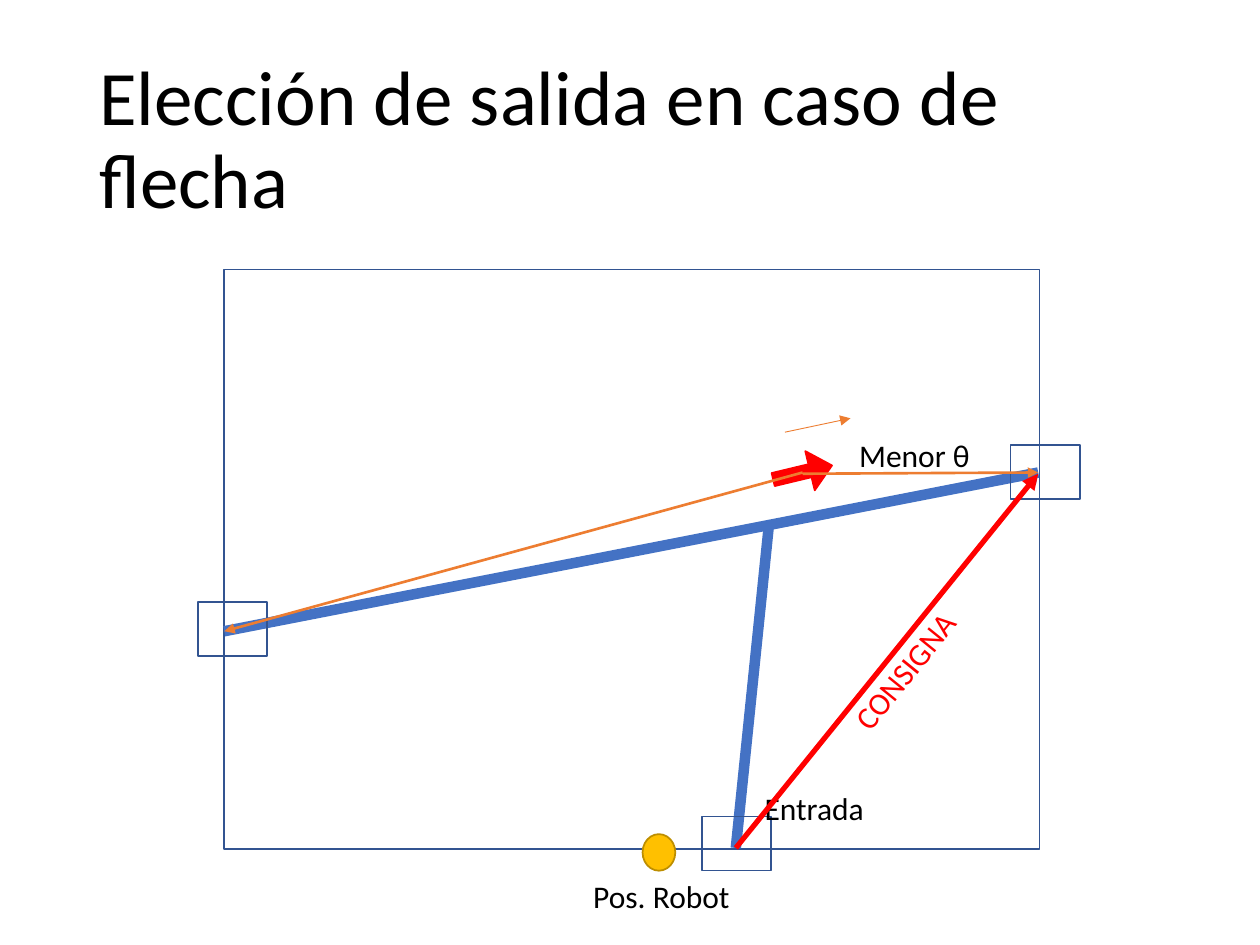
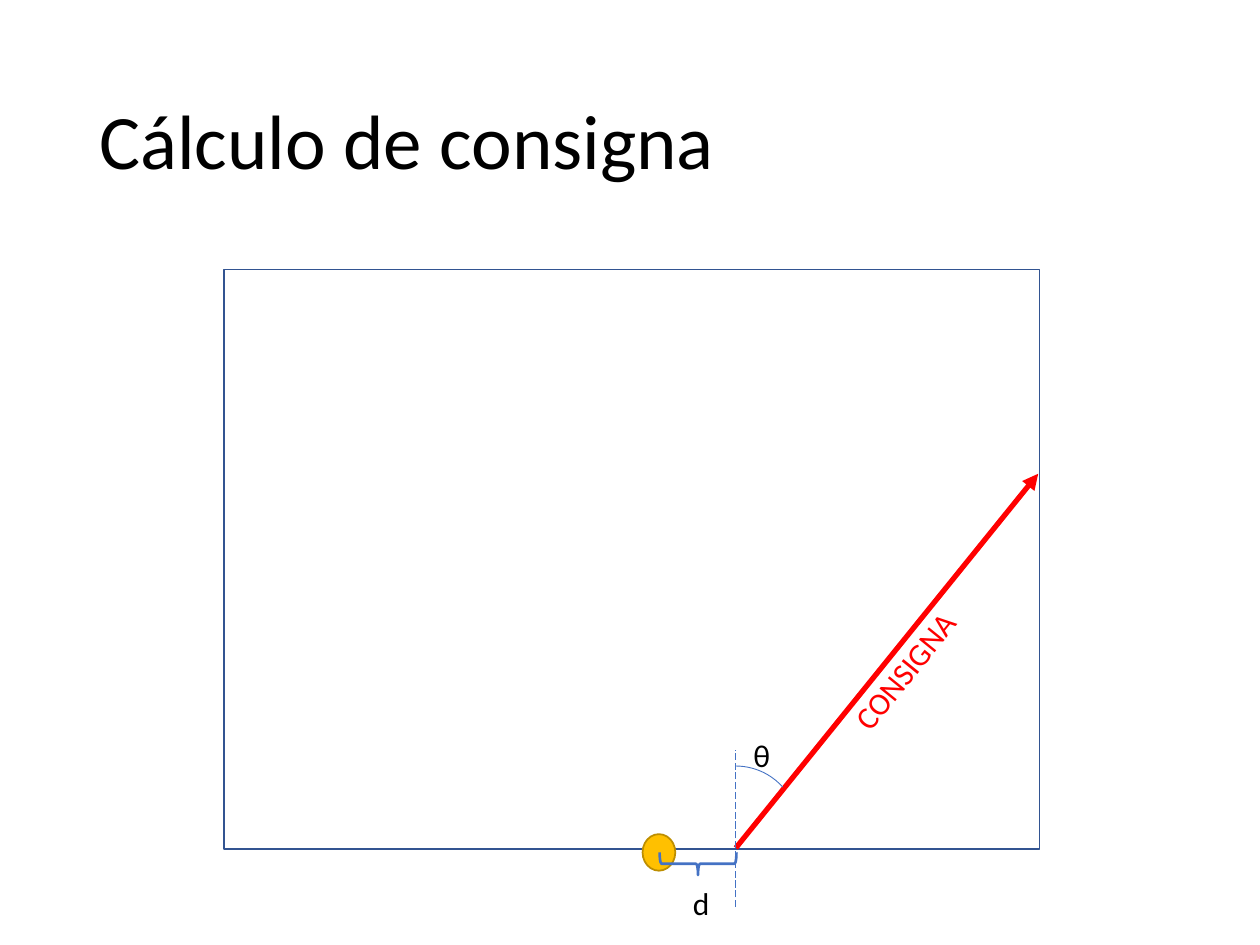
from lxml import etree
from pptx import Presentation
from pptx.dml.color import RGBColor
from pptx.enum.dml import MSO_LINE
from pptx.enum.shapes import MSO_CONNECTOR, MSO_SHAPE
from pptx.enum.text import MSO_ANCHOR
from pptx.oxml.ns import qn
from pptx.util import Inches, Pt

STRAIGHT = MSO_CONNECTOR.STRAIGHT
RECT, OVAL = MSO_SHAPE.RECTANGLE, MSO_SHAPE.OVAL
ARROW, BRACE, ARC = MSO_SHAPE.RIGHT_ARROW, MSO_SHAPE.LEFT_BRACE, MSO_SHAPE.ARC
MIDDLE = MSO_ANCHOR.MIDDLE
LONG_DASH = MSO_LINE.LONG_DASH

FONT = "Calibri"
COLORS = {
    "text": "000000",
    "border": "325491",
    "blue": "4472C4",
    "orange": "ED7D31",
    "red": "FF0000",
    "robot": "FFC000",
    "robot_border": "BD8E00",
}
FIELD = (1.78, 2.14, 6.47, 4.6)
DOOR = (0.55, 0.43)
LEFT_EXIT = (0, 2.87)
RIGHT_EXIT = (6.46, 1.61)
TARGET = (6.46, 1.62)
ENTRY = (4.06, 4.59)


def rgb(name):
    return RGBColor.from_string(COLORS[name])


def add_text(slide, text, left, top, width, height, size=18, color="text", rotation=0):
    sp = slide.shapes.add_textbox(Inches(left), Inches(top), Inches(width), Inches(height))
    sp.rotation = rotation
    tf = sp.text_frame
    tf.word_wrap = True
    tf.text = text
    font = tf.paragraphs[0].runs[0].font
    font.name, font.size = FONT, Pt(size)
    font.color.rgb = rgb(color)
    return tf


def add_shape(slide, kind, left, top, width, height, line, fill=None, weight=1, rotation=0):
    sp = slide.shapes.add_shape(kind, Inches(left), Inches(top), Inches(width), Inches(height))
    sp.shadow.inherit = False
    sp.rotation = rotation
    sp.line.color.rgb = rgb(line)
    sp.line.width = Pt(weight)
    if fill:
        sp.fill.solid()
        sp.fill.fore_color.rgb = rgb(fill)
    else:
        sp.fill.background()
    return sp


def add_line(slide, box, start, end, color, weight, arrow=False, dash=None):
    x, y = box[:2]
    cn = slide.shapes.add_connector(
        STRAIGHT, Inches(x + start[0]), Inches(y + start[1]), Inches(x + end[0]), Inches(y + end[1])
    )
    cn.line.color.rgb = rgb(color)
    cn.line.width = Pt(weight)
    if dash:
        cn.line.dash_style = dash
    if arrow:
        etree.SubElement(cn.line._get_or_add_ln(), qn("a:tailEnd"), type="triangle")
    etree.SubElement(cn._element.spPr, qn("a:effectLst"))


def add_title(slide, text, top):
    tf = add_text(slide, text, 0.69, top, 8.62, 1.45, size=44)
    tf.vertical_anchor = MIDDLE
    tf.paragraphs[0].line_spacing = 0.9


def add_field(slide, box):
    add_shape(slide, RECT, *box, line="border")


def add_robot(slide, box):
    x, y = box[:2]
    add_shape(slide, OVAL, x + 3.32, y + 4.48, 0.26, 0.29, line="robot_border", fill="robot")


def add_setpoint(slide, box):
    x, y = box[:2]
    add_line(slide, box, ENTRY, TARGET, "red", 3, arrow=True)
    add_text(slide, "CONSIGNA", x + 4.69, y + 2.86, 1.61, 0.4, color="red", rotation=308.9)


def add_exit_choice(slide, box):
    x, y = box[:2]
    add_field(slide, box)
    add_line(slide, box, LEFT_EXIT, RIGHT_EXIT, "blue", 6)
    add_line(slide, box, (4.32, 2.05), ENTRY, "blue", 6)
    sp = add_shape(slide, ARROW, x + 4.35, y + 1.45, 0.48, 0.32, "red", "red", rotation=346.5)
    sp.adjustments[0], sp.adjustments[1] = 0.333, 0.56
    add_robot(slide, box)
    for left, top in ((-0.21, 2.64), (6.24, 1.39), (3.79, 4.34)):
        add_shape(slide, RECT, x + left, y + top, *DOOR, line="border")
    add_text(slide, "Entrada", x + 4.19, y + 4.07, 1.04, 0.4)
    add_line(slide, box, (4.59, 1.61), LEFT_EXIT, "orange", 1.5, arrow=True)
    add_line(slide, box, (4.59, 1.62), RIGHT_EXIT, "orange", 1.5, arrow=True)
    add_line(slide, box, (4.45, 1.29), (4.97, 1.18), "orange", 0.5, arrow=True)
    add_text(slide, "Menor θ", x + 4.94, y + 1.27, 1.21, 0.4)
    add_line(slide, box, ENTRY, TARGET, "blue", 0.5, arrow=True)
    add_setpoint(slide, box)
    add_text(slide, "Pos. Robot", x + 2.83, y + 4.77, 1.76, 0.4)


def add_setpoint_geometry(slide, box):
    x, y = box[:2]
    add_field(slide, box)
    add_robot(slide, box)
    add_setpoint(slide, box)
    add_shape(slide, BRACE, x + 3.67, y + 4.41, 0.18, 0.61, "blue", weight=1.5, rotation=270)
    add_line(slide, box, (ENTRY[0], 5.06), (ENTRY[0], 3.81), "blue", 0.5, dash=LONG_DASH)
    arc = add_shape(slide, ARC, x + 3.56, y + 3.94, 1, 1, "blue", weight=0.5)
    arc.adjustments[0], arc.adjustments[1] = 162, 190.987
    add_text(slide, "d", x + 3.62, y + 4.83, 0.38, 0.4)
    add_text(slide, "θ", x + 4.1, y + 3.65, 0.35, 0.4)


prs = Presentation()
prs.slide_width, prs.slide_height = Inches(10), Inches(7.5)
for title, top, add_diagram in (
    ("Elección de salida en caso de flecha", 0.4, add_exit_choice),
    ("Cálculo de consigna", 0.42, add_setpoint_geometry),
):
    s = prs.slides.add_slide(prs.slide_layouts[6])
    add_title(s, title, top)
    add_diagram(s, FIELD)
prs.save("out.pptx")
